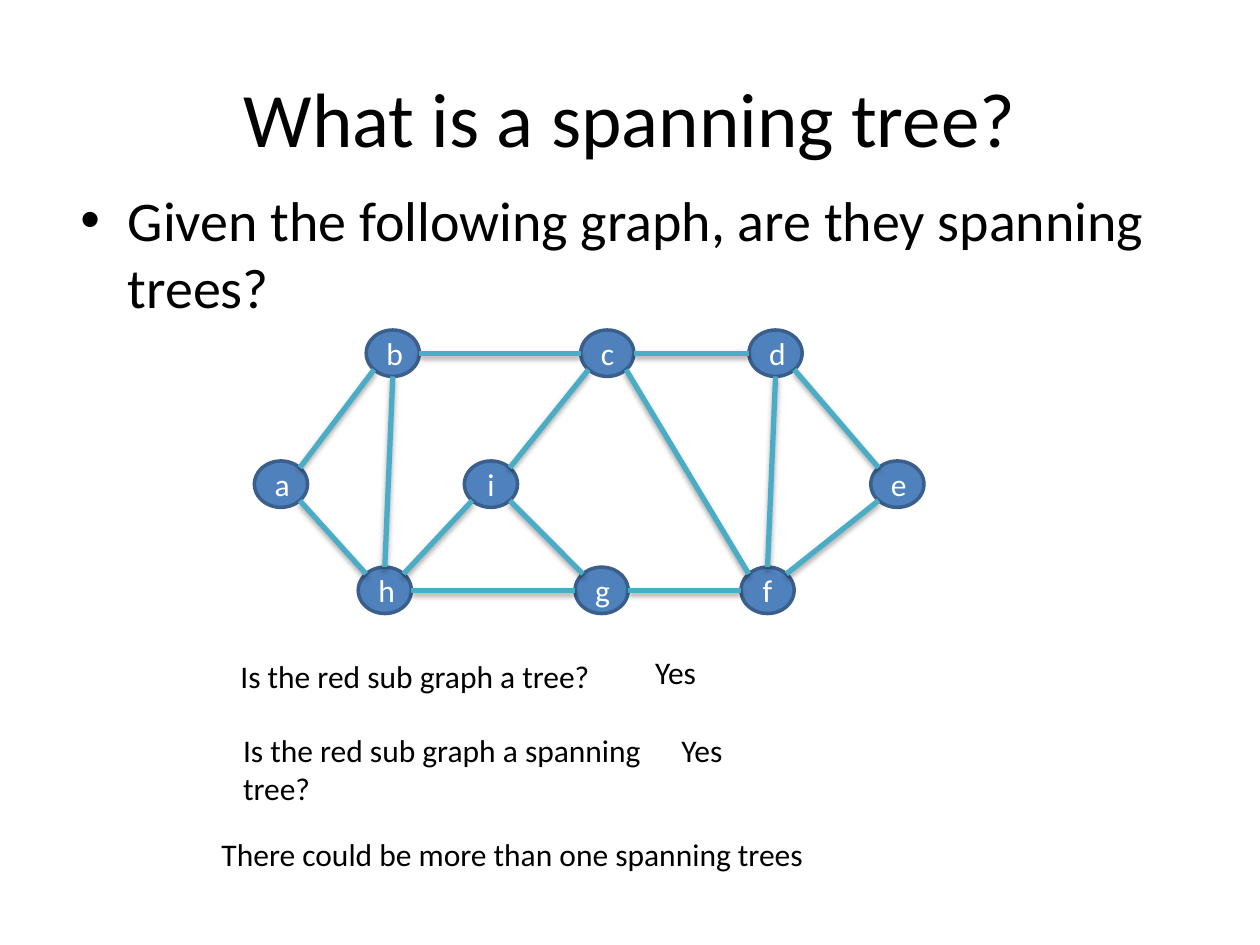
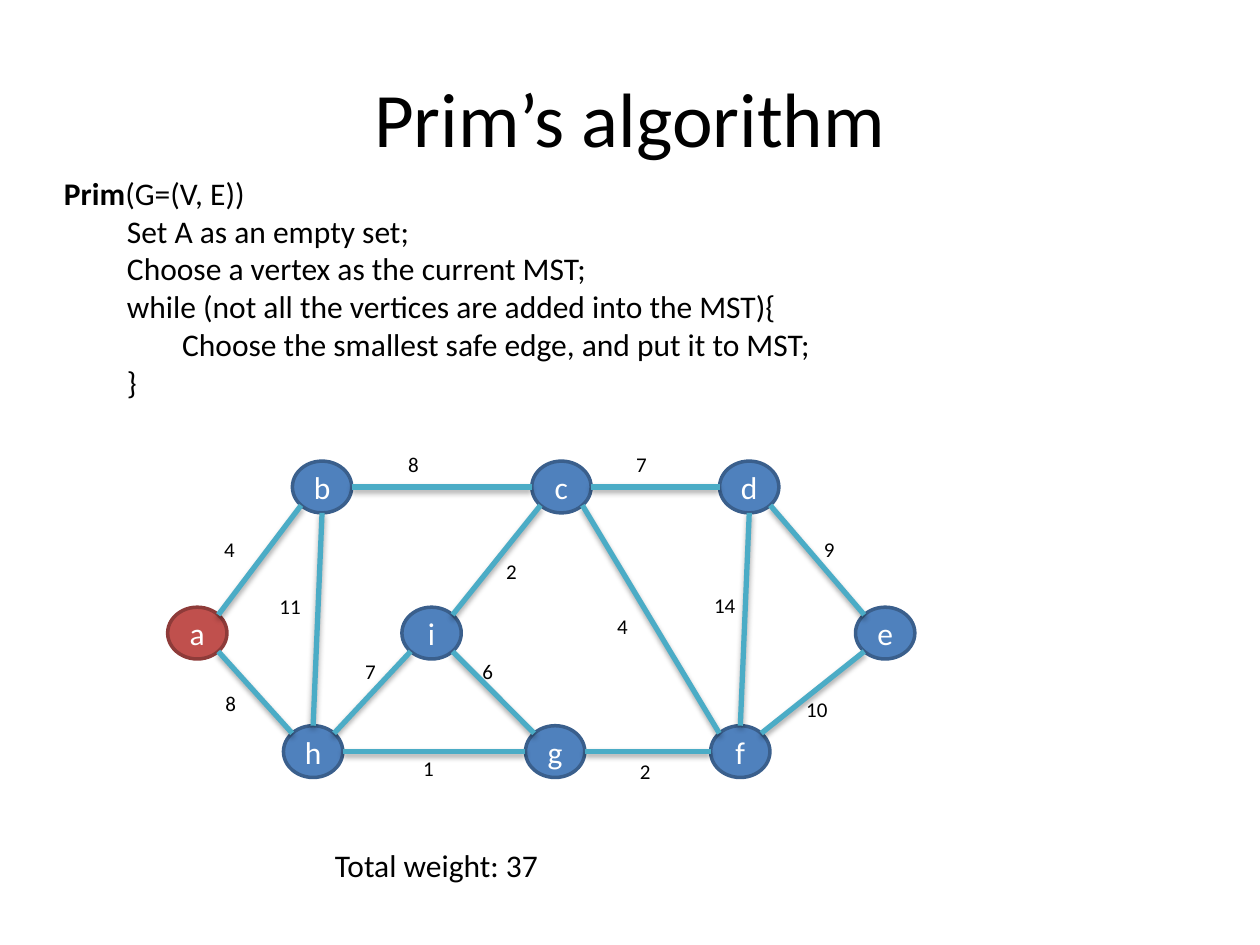
import math

from lxml import etree
from pptx import Presentation
from pptx.dml.color import RGBColor
from pptx.enum import shapes, text
from pptx.oxml import parse_xml
from pptx.oxml.ns import nsdecls, qn
from pptx.util import Pt

BLACK = RGBColor(0x00, 0x00, 0x00)
WHITE = RGBColor(0xFF, 0xFF, 0xFF)
BLUE = RGBColor(0x4F, 0x81, 0xBD)
BLUE_LINE = RGBColor(0x3A, 0x5F, 0x8C)
RED = RGBColor(0xC0, 0x50, 0x4D)
RED_LINE = RGBColor(0x8E, 0x3B, 0x39)
TEAL = RGBColor(0x4B, 0xAC, 0xC6)

FONT = "Calibri"
TITLE_BOX = (36, 21.6, 648, 90)
EDGE_SHADOW = (
    f'<a:effectLst {nsdecls("a")}>'
    '<a:outerShdw blurRad="40000" dist="23000" dir="5400000" rotWithShape="0">'
    '<a:srgbClr val="000000"><a:alpha val="35000"/></a:srgbClr>'
    '</a:outerShdw></a:effectLst>'
)

# Graph at full scale: node offsets (left, top) from the graph's corner
NODE_W, NODE_H = 33.9, 29.6
ROW_TOP, ROW_MID, ROW_LOW = 0, 83.5, 151.2
NODES = {
    "a": (0, ROW_MID), "b": (71.3, ROW_TOP), "h": (66.2, ROW_LOW),
    "i": (133.9, ROW_MID), "c": (208.1, ROW_TOP), "g": (204.5, ROW_LOW),
    "d": (315.4, ROW_TOP), "e": (393.1, ROW_MID), "f": (310.3, ROW_LOW),
}
# Edge: weight and its label's left, top, width
EDGES = {
    "bc": ("8", 226.1, 254.2, 26.6), "ba": ("4", 121, 303.1, 26.6),
    "cd": ("7", 356.4, 254.2, 26.6), "de": ("9", 463.7, 303.1, 26.6),
    "ef": ("10", 453.6, 394.6, 36.7), "gf": ("2", 358.6, 429.8, 26.6),
    "gh": ("1", 234.7, 428.4, 26.6), "ah": ("8", 121.7, 391, 26.6),
    "bh": ("11", 152.6, 335.5, 31.7), "ih": ("7", 201.6, 373, 26.6),
    "ig": ("6", 268.6, 373, 26.6), "ci": ("2", 282.2, 315.4, 26.6),
    "cf": ("4", 345.6, 347, 26.6), "df": ("14", 401, 334.8, 38.9),
}


def add_text(s, box, runs, size=18, grow=True, **formats):
    """Add a text box whose only paragraph holds (text, bold) runs."""
    sp = s.shapes.add_textbox(*map(Pt, box))
    tf = sp.text_frame
    tf.word_wrap = True
    tf.auto_size = (text.MSO_AUTO_SIZE.SHAPE_TO_FIT_TEXT if grow
                    else text.MSO_AUTO_SIZE.NONE)
    add_runs(tf.paragraphs[0], runs, size)
    for name, value in formats.items():
        setattr(tf if name == "vertical_anchor" else tf.paragraphs[0], name, value)
    return tf


def add_runs(p, runs, size=18, color=BLACK):
    if isinstance(runs, str):
        runs = [(runs, False)]
    for words, bold in runs:
        r = p.add_run()
        r.text = words
        for name, value in {"name": FONT, "size": Pt(size), "bold": bold}.items():
            setattr(r.font, name, value)
        r.font.color.rgb = color


prs = Presentation()
prs.slide_width, prs.slide_height = Pt(720), Pt(540)

# Title and graph on each slide: title, corner, scale, red nodes
slides = []
for title, left, top, scale, red_nodes in (
    ("What is a spanning tree?", 145.4, 188.6, 0.896, ""),
    ("Prim’s algorithm", 95.8, 263.5, 1, "a"),
):
    s = prs.slides.add_slide(prs.slide_layouts[6])
    slides.append(s)
    add_text(s, TITLE_BOX, title, 44, grow=False, alignment=text.PP_ALIGN.CENTER,
             vertical_anchor=text.MSO_ANCHOR.MIDDLE)

    # Nodes
    w, h = NODE_W * scale, NODE_H * scale
    centers = {}
    for name, (dx, dy) in NODES.items():
        x, y = left + dx * scale, top + dy * scale
        centers[name] = (x + w / 2, y + h / 2)
        sp = s.shapes.add_shape(shapes.MSO_SHAPE.OVAL, Pt(x), Pt(y), Pt(w), Pt(h))
        sp.shadow.inherit = False
        sp.fill.solid()
        sp.fill.fore_color.rgb = RED if name in red_nodes else BLUE
        sp.line.color.rgb = RED_LINE if name in red_nodes else BLUE_LINE
        sp.line.width = Pt(2)
        tf = sp.text_frame
        tf.vertical_anchor = text.MSO_ANCHOR.MIDDLE
        tf.paragraphs[0].alignment = text.PP_ALIGN.CENTER
        add_runs(tf.paragraphs[0], name, color=WHITE)

    # Edges leave and arrive at the nearest of eight points on each oval
    for start, end in EDGES:
        (x1, y1), (x2, y2) = centers[start], centers[end]
        angle = round(math.atan2(y2 - y1, x2 - x1) / (math.pi / 4)) * math.pi / 4
        rx, ry = w / 2 * math.cos(angle), h / 2 * math.sin(angle)
        cx = s.shapes.add_connector(shapes.MSO_CONNECTOR.STRAIGHT, Pt(x1 + rx),
                                    Pt(y1 + ry), Pt(x2 - rx), Pt(y2 - ry))
        cx.line.color.rgb = TEAL
        cx.line.width = Pt(3)
        cx._element.spPr.append(parse_xml(EDGE_SHADOW))

tree, prim = slides

# Spanning tree: bulleted question
tf = add_text(tree, (38.9, 102.2, 648, 185.8),
              "Given the following graph, are they spanning trees?", 32, grow=False)
pPr = tf.paragraphs[0]._p.get_or_add_pPr()
pPr.set("marL", str(Pt(27)))
pPr.set("indent", str(-Pt(27)))
etree.SubElement(pPr, qn("a:buFont")).set("typeface", "Arial")
etree.SubElement(pPr, qn("a:buChar")).set("char", "•")

# Spanning tree: questions and answers
for words, *box in (
    ("Is the red sub graph a tree?", 130.3, 372.2, 227.5, 28.8),
    ("Yes", 367.2, 369.4, 295.9, 51.1),
    ("Is the red sub graph a spanning tree?", 131.8, 414, 252.7, 51.1),
    ("Yes", 382.3, 414, 252.7, 28.8),
    ("There could be more than one spanning trees", 119.5, 473.8, 384.5, 28.8),
):
    add_text(tree, box, words)

# Prim: edge weights
for weight, x, y, width in EDGES.values():
    add_text(prim, (x, y, width, 24.5), weight, 12)

# Prim: pseudocode, indented by level
tf = add_text(prim, (29.5, 95.8, 600.5, 138.2), [("Prim", True), ("(G=(V, E))", False)])
for level, words in (
    (1, "Set A as an empty set;"),
    (1, "Choose a vertex as the current MST;"),
    (1, "while (not all the vertices are added into the MST){"),
    (2, "Choose the smallest safe edge, and put it to MST;"),
    (1, "}"),
):
    p = tf.add_paragraph()
    p.level = level
    p._p.get_or_add_pPr().set("marL", str(Pt({1: 36, 2: 67.5}[level])))
    p._p.get_or_add_pPr().set("indent", "0")
    add_runs(p, words)

# Prim: result
add_text(prim, (184.3, 480.2, 298.8, 28.8), "Total weight: 37")

prs.save("out.pptx")
